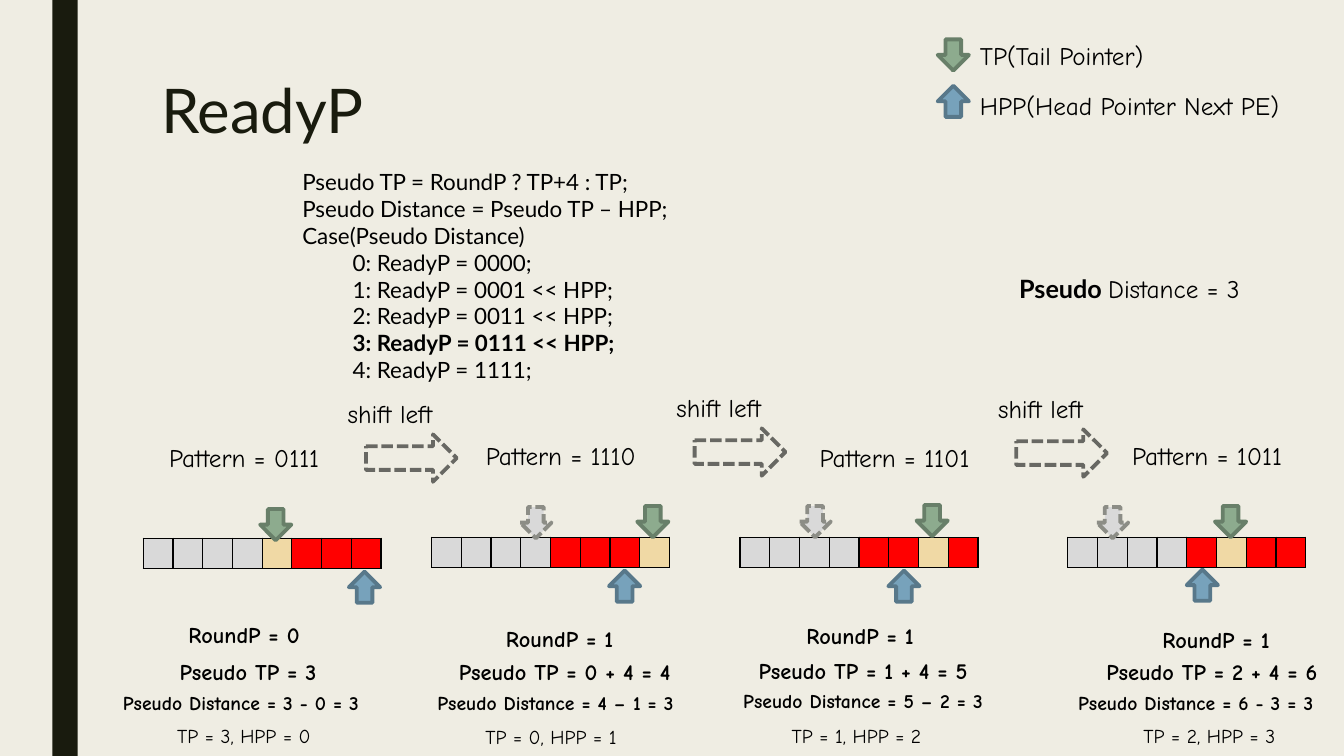
from pptx import Presentation
from pptx.dml.color import RGBColor
from pptx.enum.dml import MSO_LINE_DASH_STYLE as Dash
from pptx.enum.shapes import MSO_SHAPE as Kind
from pptx.enum.text import MSO_AUTO_SIZE as Fit, PP_ALIGN as Align
from pptx.oxml.ns import qn
from pptx.util import Inches, Pt
from lxml.etree import SubElement

BLACK = "000000"
TAIL = ("8DAB8E", "687F69")
HEAD = ("77A2BB", "58788A")
GHOST = ("D9D9D9", "8C8D86")
HOLLOW = (None, "686863")
CELLS = {"G": "D9D9D9", "Y": "F0D9A5", "R": "FF0000"}


def color(code):
    return RGBColor.from_string(code)


class Deck:
    face = "Comic Neue"
    plain = "Lato"
    side = 0.31
    cell = 0.295

    def __init__(self):
        self.show = Presentation()
        self.show.slide_width = Inches(13.33)
        self.show.slide_height = Inches(7.5)
        self.slide = self.show.slides.add_slide(self.show.slide_layouts[6])
        back = self.slide.background.fill
        back.solid()
        back.fore_color.rgb = color("EFEDE3")

    def shape(self, kind, box, fill=None, line=None, dash=False, turn=0):
        form = self.slide.shapes.add_shape(kind, *map(Inches, box))
        form.shadow.inherit = False
        form.rotation = turn
        if fill:
            form.fill.solid()
            form.fill.fore_color.rgb = color(fill)
        else:
            form.fill.background()
        if line:
            form.line.color.rgb = color(line)
            form.line.width = Pt(2.75)
            if dash:
                form.line.dash_style = Dash.SQUARE_DOT
        else:
            form.line.fill.background()

    def arrow(self, x, y, tone, **form):
        self.shape(Kind.DOWN_ARROW, (x, y, self.side, self.side), *tone, **form)

    def text(self, lines, box, size=18, face=None, tone=BLACK, bold=False,
             align=Align.LEFT, wrap=True, grow=True, space=None, tab=None):
        frame = self.slide.shapes.add_textbox(*map(Inches, box)).text_frame
        frame.word_wrap = wrap
        frame.auto_size = Fit.SHAPE_TO_FIT_TEXT if grow else Fit.NONE
        for i, line in enumerate([lines] if isinstance(lines, str) else lines):
            para = frame.add_paragraph() if i else frame.paragraphs[0]
            para.alignment = align
            if space:
                para.line_spacing = space
            if tab:
                stops = SubElement(para._p.get_or_add_pPr(), qn("a:tabLst"))
                SubElement(stops, qn("a:tab"), pos=str(Inches(tab)), algn="l")
            parts = [(line, {})] if isinstance(line, str) else line
            for words, own in parts:
                run = para.add_run()
                run.text = words
                font = run.font
                font.size = Pt(size)
                font.name = own.get("face", face or self.face)
                font.bold = own.get("bold", bold)
                font.color.rgb = color(tone)

    def queue(self, x, y, marks):
        width = self.cell * len(marks)
        frame = self.slide.shapes.add_table(
            1, len(marks), *map(Inches, (x, y, width, 0.3)))
        table = frame.table
        table.first_row = table.horz_banding = False
        for column, mark in zip(table.columns, marks):
            column.width = Inches(self.cell)
        for cell, mark in zip(table.iter_cells(), marks):
            cell.margin_left = cell.margin_right = 0
            cell.margin_top = cell.margin_bottom = 0
            props = cell._tc.get_or_add_tcPr()
            for edge in ("a:lnL", "a:lnR", "a:lnT", "a:lnB"):
                line = SubElement(props, qn(edge), w=str(Pt(1)))
                paint = SubElement(line, qn("a:solidFill"))
                SubElement(paint, qn("a:srgbClr"), val=BLACK)
            cell.fill.solid()
            cell.fill.fore_color.rgb = color(CELLS[mark])

    def label(self, words, x, y, width, size, **form):
        self.text(words, (x, y, width, 0.37), size, align=Align.CENTER, **form)

    def stage(self, x, y, marks, tail, head, ghost, pattern, notes):
        self.queue(x + 4 * self.cell, y, marks)
        self.queue(x, y, "GGGG")
        self.arrow(*tail, TAIL)
        self.arrow(*head, HEAD, turn=180)
        if ghost:
            self.arrow(*ghost, GHOST, dash=True)
        words, left, top = pattern
        self.text(f"Pattern = {words}", (left, top, 1.87, 0.4), wrap=False)
        turn, tip, gap, ends = notes
        self.label("RoundP = " + turn[0], *turn[1:], 2.18, 16, bold=True)
        self.label(f"Pseudo TP = {tip[0]} ", *tip[1:], 16, bold=True, wrap=False)
        self.label(f"Pseudo Distance = {gap[0]} ", *gap[1:], 14, bold=True, wrap=False)
        self.label(ends[0], *ends[1:], 14)

    def shift(self, x, y):
        self.shape(Kind.RIGHT_ARROW, (x, y, 0.9, 0.47), *HOLLOW, dash=True)
        self.text("shift left", (x - 0.28, y - 0.41, 1.32, 0.4), wrap=False)


STAGES = [
    (1.42, 5.34, "YRRR", (2.58, 5.05), (3.46, 5.67), None, ("0111", 1.58, 4.34),
     (("0", 1.33, 6.11), ("3", 1.57, 6.48, 1.86),
      ("3 - 0 = 3", 0.9, 6.81, 3.05), ("TP = 3, HPP = 0", 1.33, 7.13, 2.18))),
    (4.28, 5.33, "RRRY", (6.32, 5.02), (6.04, 5.66), (5.16, 5.03), ("1110", 4.72, 4.32),
     (("1", 4.46, 6.15), ("0 + 4 = 4", 4.24, 6.48, 2.8),
      ("4 – 1 = 3", 4.04, 6.81, 3.01), ("TP = 0, HPP = 1", 4.39, 7.14, 2.15))),
    (7.34, 5.33, "RRYR", (9.09, 5.01), (8.81, 5.66), (7.93, 5.02), ("1101", 8.03, 4.34),
     (("1", 7.44, 6.12), ("1 + 4 = 5", 7.2, 6.47, 2.8),
      ("5 – 2 = 3", 7.09, 6.79, 3.01), ("TP = 1, HPP = 2", 7.42, 7.13, 2.15))),
    (10.59, 5.33, "RYRR", (12.05, 5.02), (11.77, 5.65), (10.88, 5.03), ("1011", 11.13, 4.32),
     (("1", 10.97, 6.16), ("2 + 4 = 6", 10.66, 6.48, 2.8),
      ("6 - 3 = 3", 10.37, 6.81, 3.05), ("TP = 2, HPP = 3", 10.92, 7.13, 2.15))),
]

CODE = [
    "Pseudo TP = RoundP ? TP+4 : TP;",
    "Pseudo Distance = Pseudo TP – HPP;",
    "Case(Pseudo Distance)",
    "\t0: ReadyP = 0000;",
    "\t1: ReadyP = 0001 << HPP;",
    "\t2: ReadyP = 0011 << HPP;",
    [("\t", {}), ("3: ReadyP = 0111 << HPP;", {"bold": True})],
    "\t4: ReadyP = 1111;",
]


def main():
    deck = Deck()
    deck.shape(Kind.RECTANGLE, (0.52, 0, 0.25, 7.5), "191B0E")
    deck.text("ReadyP", (1.5, 0.75, 10.5, 1.62), 44, deck.plain, "191B0E",
              grow=False, space=0.89)
    deck.arrow(9.3, 0.39, TAIL)
    deck.arrow(9.3, 0.85, HEAD, turn=180)
    deck.text("TP(Tail Pointer)", (9.62, 0.35, 2.15, 0.4))
    deck.text("HPP(Head Pointer Next PE)", (9.62, 0.85, 3.49, 0.4))
    deck.text(CODE, (2.9, 1.62, 6.72, 2.26), 16, deck.plain, tab=0.5)
    deck.text([[("Pseudo ", {"face": deck.plain, "bold": True}), ("Distance = 3", {})]],
              (10.01, 2.66, 2.52, 0.4), wrap=False)
    for stage in STAGES:
        deck.stage(*stage)
    for spot in ((3.63, 4.31), (6.89, 4.25), (10.08, 4.26)):
        deck.shift(*spot)
    deck.show.save("out.pptx")


if __name__ == "__main__":
    main()
